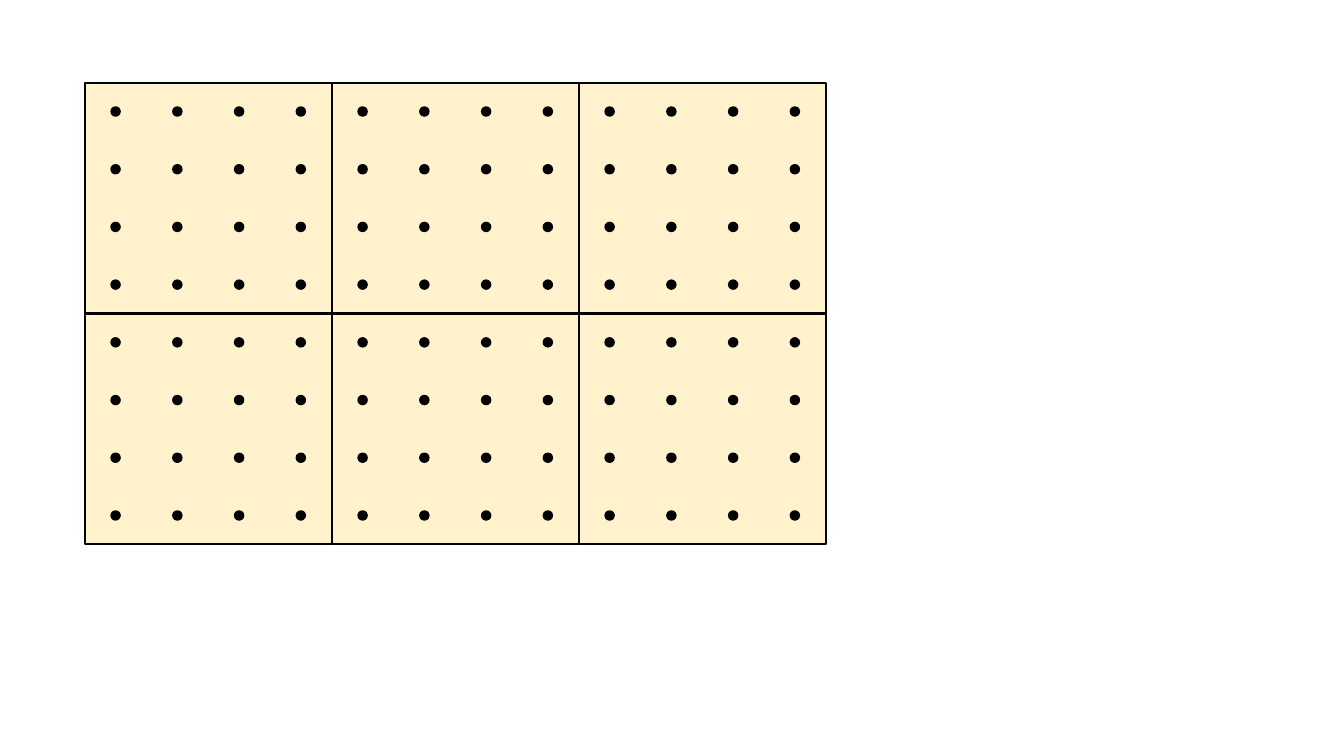
from itertools import product

from pptx import Presentation
from pptx.dml.color import RGBColor
from pptx.enum.shapes import MSO_SHAPE
from pptx.util import Inches, Pt

BLACK = "000000"
CREAM = "FFF2CC"
TILE_ROWS, TILE_COLUMNS = 2, 3
DOTS_PER_SIDE = 4
DOT_SIZE = 0.09


def color(hex_string):
    return RGBColor.from_string(hex_string)


def add_filled_shape(shapes, kind, left, top, width, height, fill, line_width):
    shape = shapes.add_shape(kind, Inches(left), Inches(top), Inches(width), Inches(height))
    shape.shadow.inherit = False
    shape.fill.solid()
    shape.fill.fore_color.rgb = color(fill)
    shape.line.color.rgb = color(BLACK)
    shape.line.width = Pt(line_width)


def add_dotted_tile(slide, left, top, width, height):
    """Group a square tile with dots centred in an even grid of cells."""
    shapes = slide.shapes.add_group_shape().shapes
    add_filled_shape(shapes, MSO_SHAPE.RECTANGLE, left, top, width, height, CREAM, 1.5)
    cell_width, cell_height = width / DOTS_PER_SIDE, height / DOTS_PER_SIDE
    for row, column in product(range(DOTS_PER_SIDE), repeat=2):
        dot_left = left + (column + 0.5) * cell_width - DOT_SIZE / 2
        dot_top = top + (row + 0.5) * cell_height - DOT_SIZE / 2
        add_filled_shape(shapes, MSO_SHAPE.OVAL, dot_left, dot_top,
                         DOT_SIZE, DOT_SIZE, BLACK, 1)


def add_tile_grid(slide, left, top, width, height):
    """Fill the box with adjoining dotted tiles."""
    tile_width, tile_height = width / TILE_COLUMNS, height / TILE_ROWS
    for row, column in product(range(TILE_ROWS), range(TILE_COLUMNS)):
        add_dotted_tile(slide, left + column * tile_width, top + row * tile_height,
                        tile_width, tile_height)


# Slide setup
presentation = Presentation()
presentation.slide_width = Inches(13.33)
presentation.slide_height = Inches(7.5)
slide = presentation.slides.add_slide(presentation.slide_layouts[6])

# Grid of dotted tiles
add_tile_grid(slide, left=0.84, top=0.82, width=7.35, height=4.58)

presentation.save("out.pptx")
